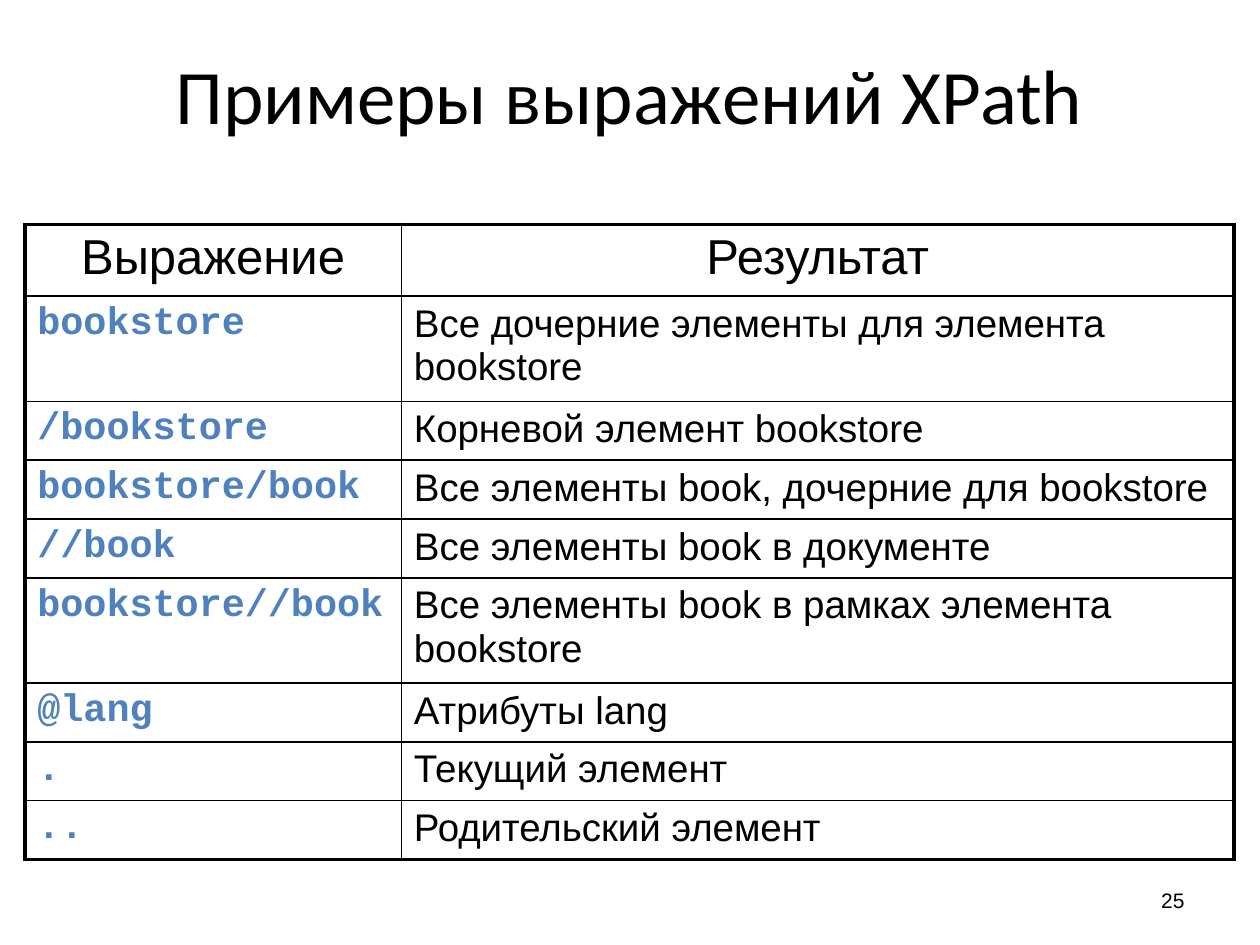
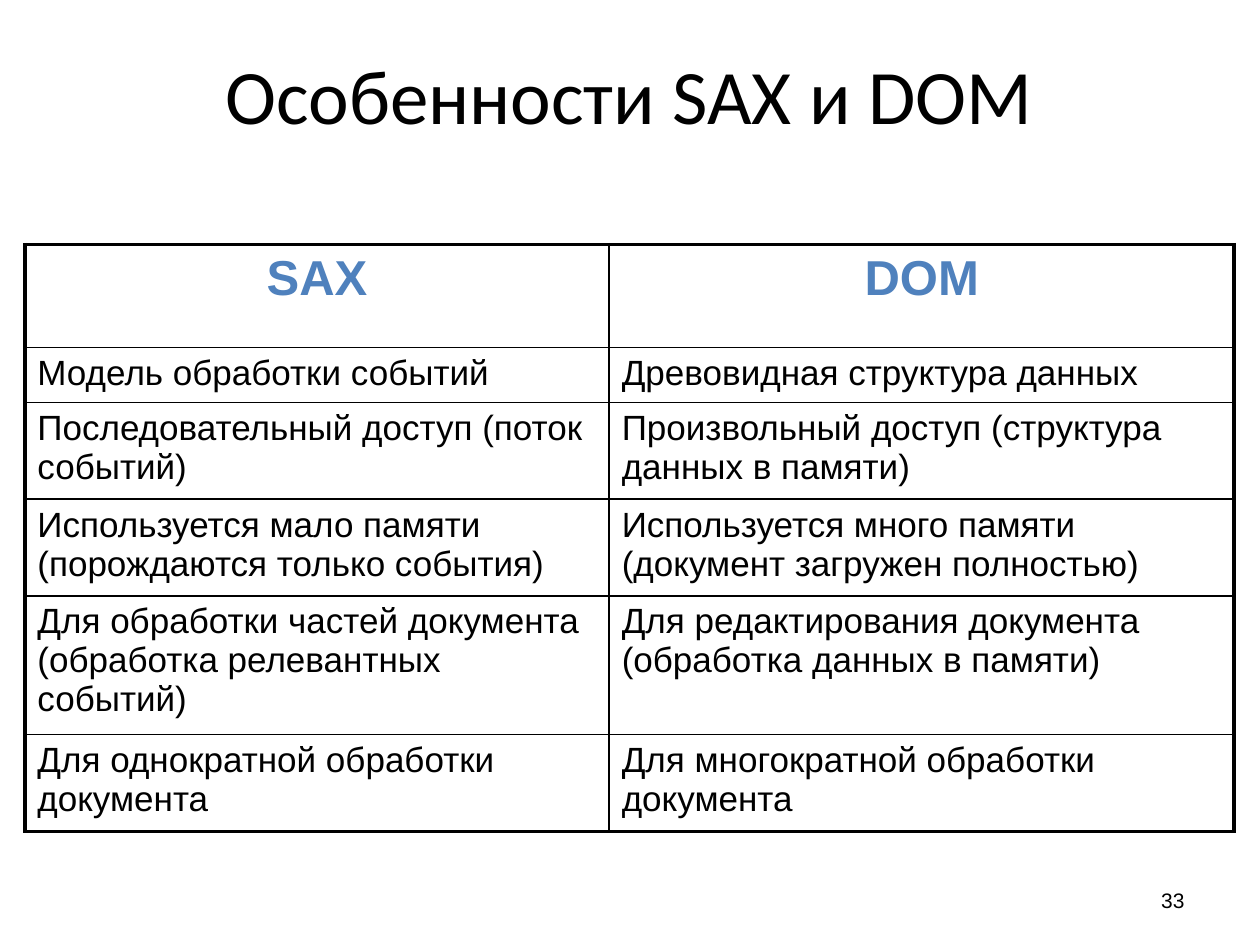
from lxml import etree
from pptx import Presentation
from pptx.dml.color import RGBColor
from pptx.enum.text import MSO_ANCHOR, PP_ALIGN
from pptx.oxml.ns import qn
from pptx.util import Cm, Pt

LEFT, CENTER, RIGHT = PP_ALIGN.LEFT, PP_ALIGN.CENTER, PP_ALIGN.RIGHT
MIDDLE = MSO_ANCHOR.MIDDLE

BLACK = RGBColor(0x00, 0x00, 0x00)
BLUE = RGBColor(0x4F, 0x81, 0xBD)

TITLE_ONLY = 5
MARGIN = Cm(0.5)
CONTENT_WIDTH = Cm(24.38)
OUTER_LINE, INNER_LINE = Pt(2.25), Pt(1)

# Text styles of the table cells
HEADING = dict(size=28, align=CENTER, space_before=20)
TERM_HEADING = dict(HEADING, color=BLUE, bold=True)
CODE = dict(size=22, font="Courier New", color=BLUE, bold=True, space_before=20)
MEANING = dict(size=22, space_before=20)
FEATURE = dict(size=20, space_before=20)

XPATH_ROWS = [
    ("Выражение", "Результат"),
    ("bookstore", "Все дочерние элементы для элемента bookstore"),
    ("/bookstore", "Корневой элемент bookstore"),
    ("bookstore/book", "Все элементы book, дочерние для bookstore"),
    ("//book", "Все элементы book в документе"),
    ("bookstore//book", "Все элементы book в рамках элемента bookstore"),
    ("@lang", "Атрибуты lang"),
    (".", "Текущий элемент"),
    ("..", "Родительский элемент"),
]
XPATH_HEIGHTS = [1.45, 2.12, 1.18, 1.18, 1.18, 2.12, 1.18, 1.18, 1.18]

PARSER_ROWS = [
    ("SAX", "DOM"),
    ("Модель обработки событий", "Древовидная структура данных"),
    ("Последовательный доступ (поток событий)",
     "Произвольный доступ (структура данных в памяти)"),
    ("Используется мало памяти (порождаются только события)",
     "Используется много памяти (документ загружен полностью)"),
    ("Для обработки частей документа (обработка релевантных событий)",
     "Для редактирования документа (обработка данных в памяти)"),
    ("Для однократной обработки документа",
     "Для многократной обработки документа"),
]
PARSER_HEIGHTS = [2.08, 1.09, 1.95, 1.95, 2.79, 1.95]


def write_text(frame, text, size, font="Arial", color=BLACK, bold=False,
               align=LEFT, space_before=None):
    """Fill a text frame with one paragraph; space_before is in percent."""
    paragraph = frame.paragraphs[0]
    paragraph.alignment = align
    if space_before is not None:
        spacing = etree.SubElement(paragraph._p.get_or_add_pPr(), qn("a:spcBef"))
        etree.SubElement(spacing, qn("a:spcPct"), val=str(space_before * 1000))
    run = paragraph.add_run()
    run.text = text
    run.font.size = Pt(size)
    run.font.name = font
    run.font.bold = bold
    run.font.color.rgb = color


def add_titled_slide(deck, title, number):
    slide = deck.slides.add_slide(deck.slide_layouts[TITLE_ONLY])
    heading = slide.shapes.title
    heading.left, heading.top = MARGIN, Cm(0)
    heading.width, heading.height = CONTENT_WIDTH, Cm(3.78)
    heading.text_frame.vertical_anchor = MIDDLE
    write_text(heading.text_frame, title, size=44, font="Calibri", align=CENTER)

    # Page number
    page = slide.shapes.add_textbox(Cm(18.2), Cm(17.65), Cm(5.93), Cm(1.01))
    page.text_frame.word_wrap = True
    page.text_frame.vertical_anchor = MIDDLE
    write_text(page.text_frame, str(number), size=12, align=RIGHT)
    return slide


def set_borders(cell, outer_sides):
    """Draw all four borders, heavier on the outer sides of the table."""
    properties = cell._tc.get_or_add_tcPr()
    for side in "LRTB":
        width = OUTER_LINE if side in outer_sides else INNER_LINE
        line = etree.SubElement(properties, qn("a:ln" + side), w=str(int(width)))
        fill = etree.SubElement(line, qn("a:solidFill"))
        etree.SubElement(fill, qn("a:srgbClr"), val=str(BLACK))


def add_grid(slide, top, rows, widths, heights, heading, column_styles):
    last_row, last_column = len(rows) - 1, len(widths) - 1
    table = slide.shapes.add_table(len(rows), len(widths), MARGIN, Cm(top),
                                   CONTENT_WIDTH, Cm(sum(heights))).table
    table.first_row = table.horz_banding = False
    for column, width in zip(table.columns, widths):
        column.width = Cm(width)
    for r, texts in enumerate(rows):
        table.rows[r].height = Cm(heights[r])
        for c, text in enumerate(texts):
            cell = table.cell(r, c)
            edges = {"T": r == 0, "B": r == last_row,
                     "L": c == 0, "R": c == last_column}
            set_borders(cell, [side for side, outer in edges.items() if outer])
            cell.fill.background()
            write_text(cell.text_frame, text,
                       **(heading if r == 0 else column_styles[c]))


def main():
    deck = Presentation()
    deck.slide_width, deck.slide_height = Cm(25.4), Cm(19.05)

    # XPath expressions and what they select
    xpath = add_titled_slide(deck, "Примеры выражений XPath", 25)
    add_grid(xpath, 4.52, XPATH_ROWS, [7.59, 16.79], XPATH_HEIGHTS,
             HEADING, [CODE, MEANING])

    # Comparison of the two parsers
    parsers = add_titled_slide(deck, "Особенности SAX и DOM", 33)
    add_grid(parsers, 4.93, PARSER_ROWS, [11.78, 12.6], PARSER_HEIGHTS,
             TERM_HEADING, [FEATURE, FEATURE])

    deck.save("out.pptx")


main()
